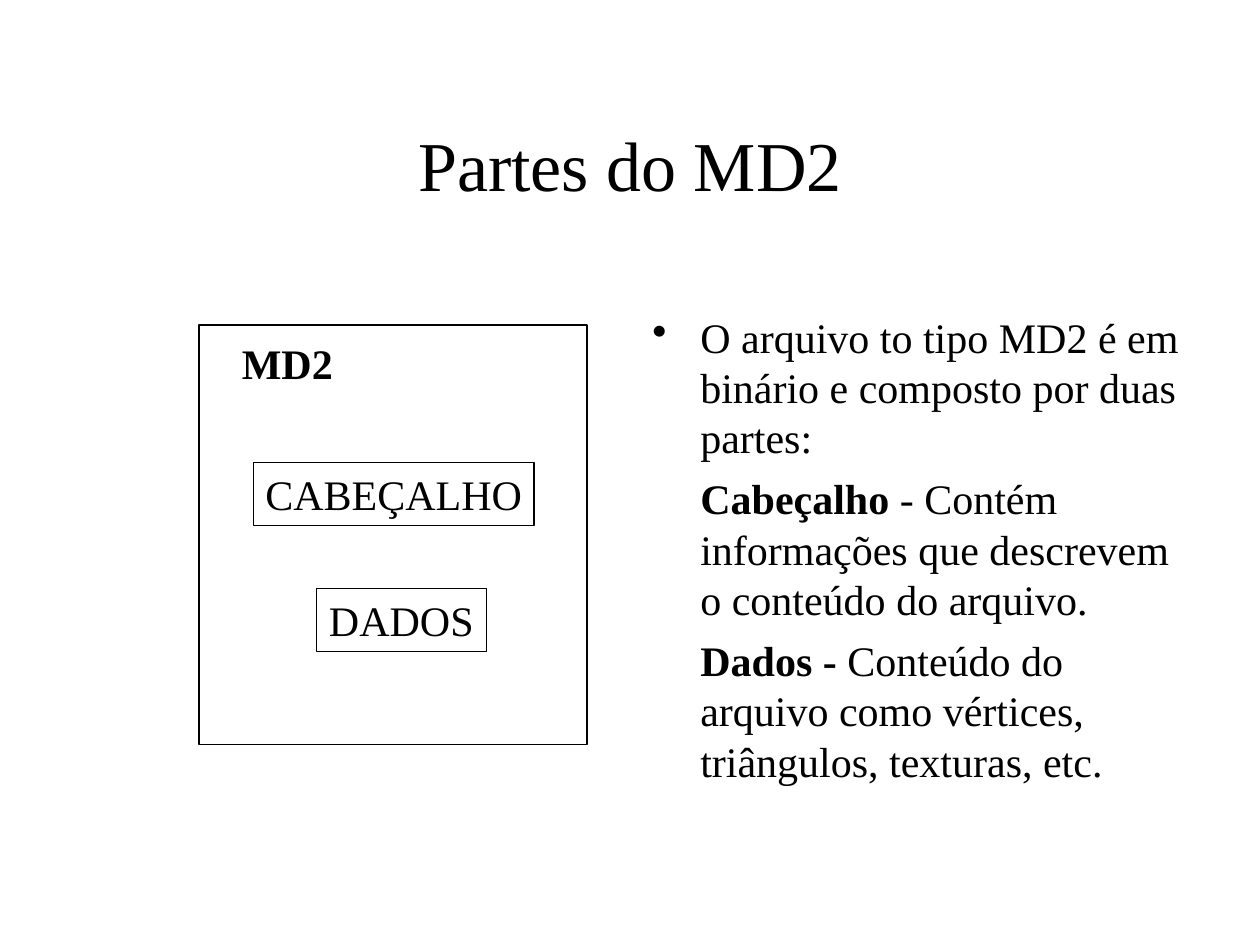
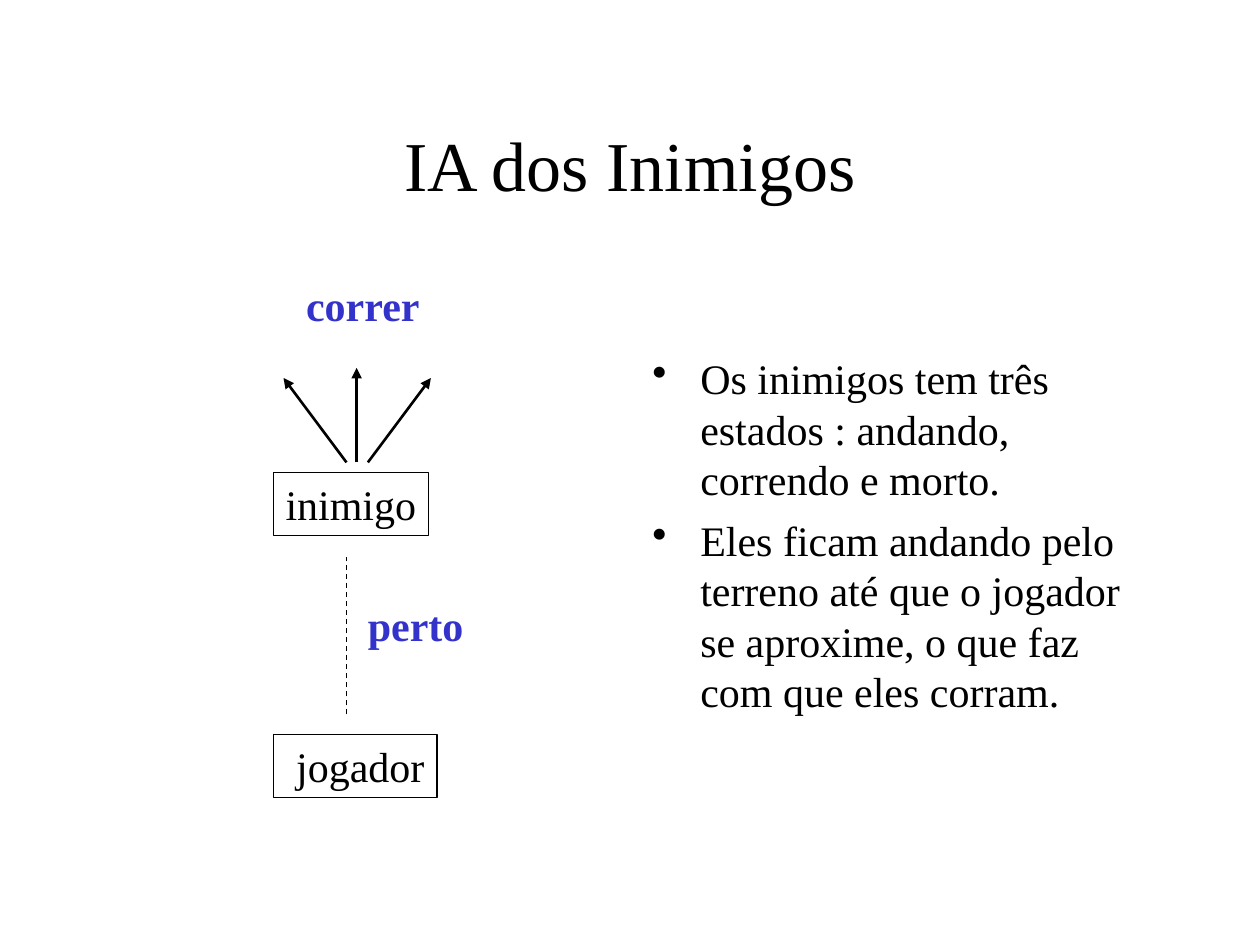
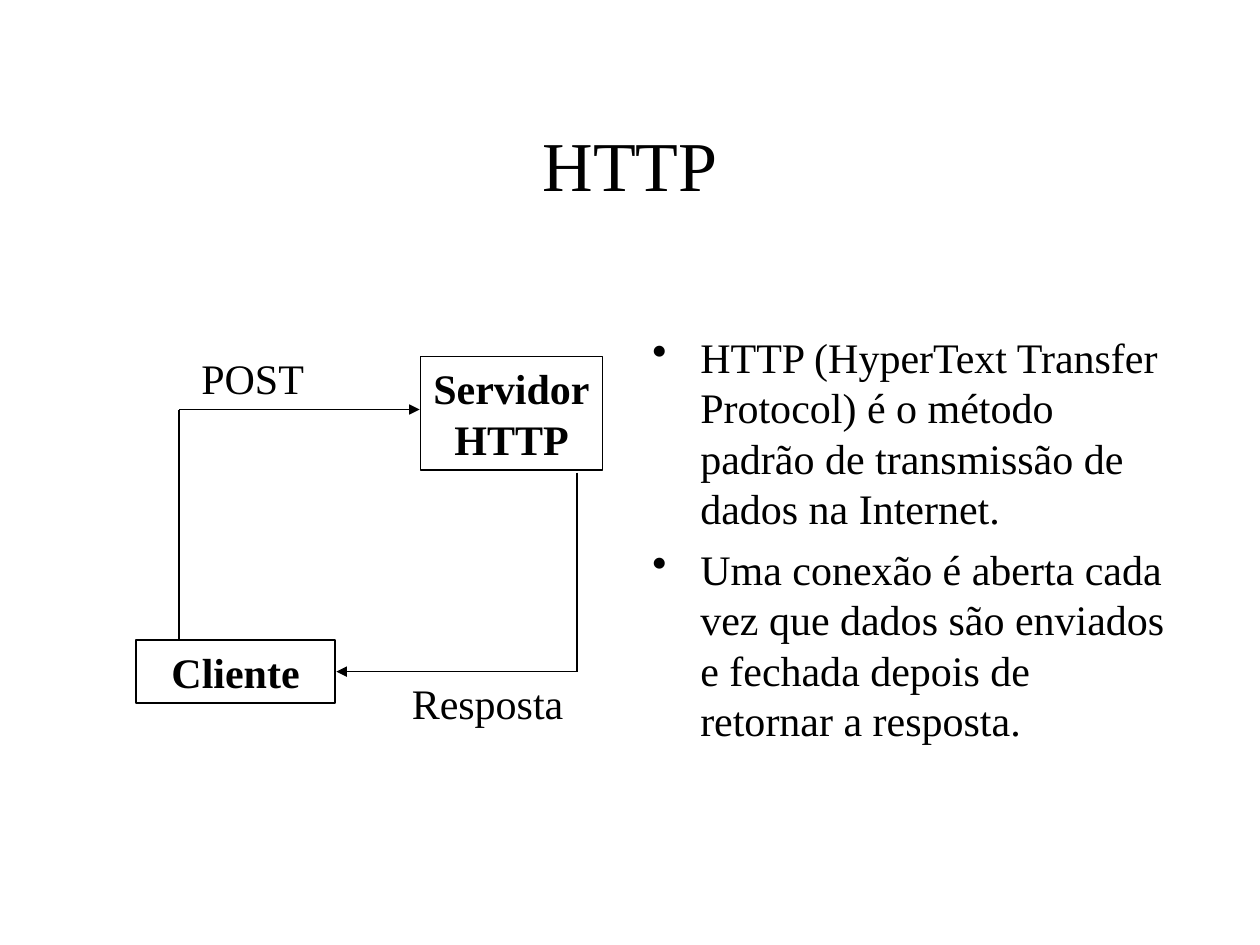
import pptx
import pptx.dml.color
import pptx.enum.dml
import pptx.enum.shapes
import pptx.enum.text
import pptx.oxml
import pptx.oxml.ns
import pptx.util
from lxml import etree
from pptx.util import Inches

FONT = "Times New Roman"
BLACK = "000000"
BLUE = "3333CC"
ALIGN = pptx.enum.text.PP_ALIGN
ANCHOR = pptx.enum.text.MSO_ANCHOR


def color(code):
    """Turn a hex string into a colour."""
    return pptx.dml.color.RGBColor.from_string(code)


def node(parent, tag, **attrs):
    """Append a DrawingML element to a parent."""
    return etree.SubElement(parent, pptx.oxml.ns.qn(tag), attrs)


def write(para, text, size=24, bold=False, ink=BLACK):
    """Add one run of text to a paragraph."""
    run = para.add_run()
    run.text = text
    run.font.name = FONT
    run.font.size = pptx.util.Pt(size)
    run.font.bold = bold
    run.font.color.rgb = color(ink)


def frame(shape, side=0.1, left=None):
    """Set the wrap and margins of a shape and return its text frame."""
    text = shape.text_frame
    text.word_wrap = True
    text.vertical_anchor = ANCHOR.TOP
    text.margin_left = Inches(side if left is None else left)
    text.margin_right = Inches(side)
    text.margin_top = text.margin_bottom = Inches(0.05)
    return text


def area(slide, place):
    """Add an empty text box."""
    return slide.shapes.add_textbox(*map(Inches, place))


def title(slide, text):
    """Add the centred slide title."""
    body = frame(area(slide, (0.75, 0.67, 8.5, 1.25)))
    body.vertical_anchor = ANCHOR.MIDDLE
    body.paragraphs[0].alignment = ALIGN.CENTER
    write(body.paragraphs[0], text, 40)


def body(slide, place, items):
    """Add the right-hand text from (bullet, runs) items."""
    text = frame(area(slide, place))
    for count, (dot, runs) in enumerate(items):
        para = text.add_paragraph() if count else text.paragraphs[0]
        if count:
            para.space_before = pptx.util.Pt(6)
        props = para._p.get_or_add_pPr()
        props.set("marL", str(Inches(0.38)))
        props.set("indent", str(Inches(-0.38 if dot else 0)))
        if dot:
            node(node(props, "a:buClr"), "a:srgbClr", val=BLACK)
            node(props, "a:buChar", char="•")
        else:
            node(props, "a:buNone")
        for words, bold in runs:
            write(para, words, bold=bold)


def lines(shape, rows, bold, ink=BLACK, left=None):
    """Fill a shape with centred lines of text."""
    text = frame(shape, 0.05, left)
    for count, row in enumerate(rows):
        para = text.add_paragraph() if count else text.paragraphs[0]
        para.alignment = ALIGN.CENTER
        write(para, row, bold=bold, ink=ink)


def label(slide, place, text, bold=False, ink=BLACK):
    """Add a loose label."""
    lines(area(slide, place), [text], bold, ink)


def box(slide, place, *rows, bold=False, left=None):
    """Add an outlined box with optional text."""
    kind = pptx.enum.shapes.MSO_SHAPE.RECTANGLE
    shape = slide.shapes.add_shape(kind, *map(Inches, place))
    shape.shadow.inherit = False
    shape.fill.background()
    shape.line.color.rgb = color(BLACK)
    shape.line.width = pptx.util.Pt(0.75)
    lines(shape, rows, bold, left=left)


def link(slide, start, end, width=0.75, arrow=False, dash=False):
    """Add a straight line, with an arrowhead or dashes if asked."""
    kind = pptx.enum.shapes.MSO_CONNECTOR.STRAIGHT
    line = slide.shapes.add_connector(kind, *map(Inches, start + end))
    line.line.color.rgb = color(BLACK)
    line.line.width = pptx.util.Pt(width)
    if dash:
        line.line.dash_style = pptx.enum.dml.MSO_LINE.DASH
    if arrow:
        node(line.line._get_or_add_ln(), "a:tailEnd", type="triangle")
    node(line._element.spPr, "a:effectLst")


def parts(slide):
    """Draw the parts of an MD2 file."""
    title(slide, "Partes do MD2")
    body(slide, (5.08, 2.42, 4.42, 4.08), [
        (True, [("O arquivo to tipo MD2 é em binário e composto por duas partes:", False)]),
        (False, [("Cabeçalho", True),
                 (" - Contém informações que descrevem o conteúdo do arquivo.", False)]),
        (False, [("Dados - ", True),
                 ("Conteúdo do arquivo como vértices, triângulos, texturas, etc.", False)]),
    ])
    box(slide, (1.58, 2.58, 3.08, 3.33))
    box(slide, (2.01, 3.67, 2.23, 0.5), "CABEÇALHO")
    box(slide, (2.51, 4.67, 1.35, 0.5), "DADOS")
    label(slide, (1.82, 2.63, 0.92, 0.5), "MD2", True)


def foes(slide):
    """Draw how an enemy runs when the player is near."""
    title(slide, "IA dos Inimigos")
    body(slide, (5.08, 2.75, 4.17, 3.25), [
        (True, [("Os inimigos tem três estados : andando, correndo e morto.", False)]),
        (True, [("Eles ficam andando pelo terreno até que o jogador se aproxime, "
                 "o que faz com que eles corram.", False)]),
    ])
    box(slide, (2.17, 5.83, 1.3, 0.5), "jogador", left=0.13)
    box(slide, (2.17, 3.75, 1.23, 0.5), "inimigo")
    link(slide, (2.75, 5.67), (2.75, 4.42), dash=True)
    label(slide, (2.82, 4.71, 0.96, 0.5), "perto", True, BLUE)
    for foot, tip in ((2.75, (2.25, 3)), (2.83, (2.83, 2.92)), (2.92, (3.42, 3))):
        link(slide, (foot, 3.67), tip, 1.5, arrow=True)
    label(slide, (2.33, 2.17, 1.1, 0.5), "correr", True, BLUE)


def web(slide):
    """Draw the loop between the HTTP client and server."""
    title(slide, "HTTP")
    body(slide, (5.08, 2.58, 4.33, 3.67), [
        (True, [("HTTP (HyperText Transfer Protocol) é o método padrão de "
                 "transmissão de dados na Internet.", False)]),
        (True, [("Uma conexão é aberta cada vez que dados são enviados e "
                 "fechada depois de retornar a resposta.", False)]),
    ])
    box(slide, (1.08, 5.08, 1.58, 0.5), "Cliente", bold=True)
    box(slide, (3.34, 2.83, 1.44, 0.9), "Servidor", "HTTP", bold=True)
    for start, turn, end in (((1.42, 5.08), (1.42, 3.25), (3.33, 3.25)),
                             ((4.58, 3.75), (4.58, 5.33), (2.67, 5.33))):
        link(slide, start, turn)
        link(slide, turn, end, arrow=True)
    label(slide, (1.5, 2.75, 1.01, 0.5), "POST")
    label(slide, (3.17, 5.33, 1.4, 0.5), "Resposta")


def main():
    """Build and save the deck."""
    deck = pptx.Presentation()
    deck.slide_width = Inches(10)
    deck.slide_height = Inches(7.5)
    for draw in (parts, foes, web):
        draw(deck.slides.add_slide(deck.slide_layouts[6]))
    deck.save("out.pptx")


if __name__ == "__main__":
    main()
